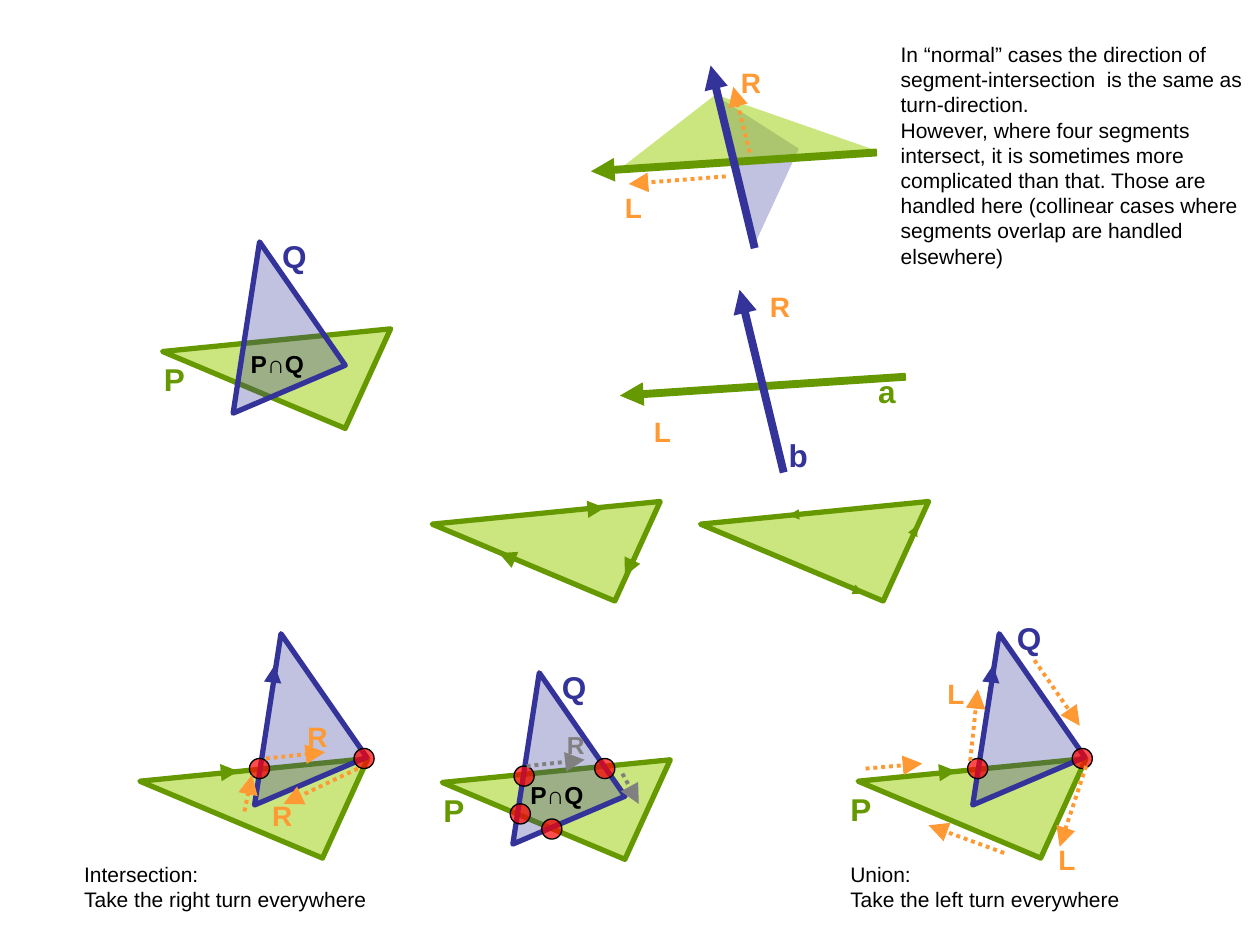
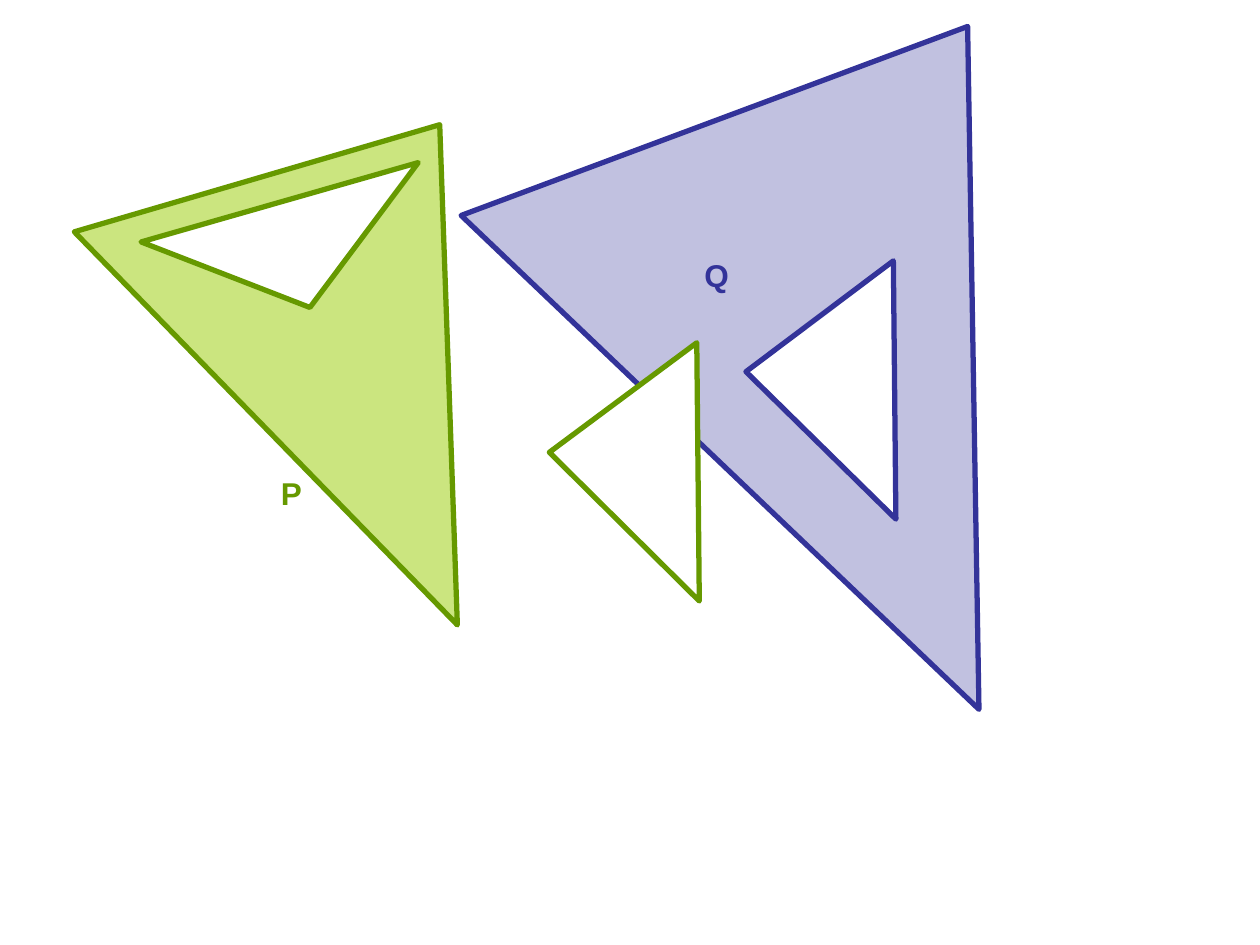
"""Draw two slides on polygon intersection and union with turn directions."""
import pptx
import pptx.dml.color
import pptx.enum.dml
import pptx.enum.shapes
import pptx.enum.text
import pptx.oxml.ns
import pptx.util
import lxml.etree

RGB = pptx.dml.color.RGBColor
INCH = pptx.util.Inches
QN = pptx.oxml.ns.qn

GREEN = RGB(0x66, 0x99, 0x00)
LIME = RGB(0x99, 0xCC, 0x00)
BLUE = RGB(0x33, 0x33, 0x99)
ORANGE = RGB(0xFF, 0x99, 0x33)
GREY = RGB(0x80, 0x80, 0x80)
RED = RGB(0xFF, 0x00, 0x00)
BLACK = RGB(0x00, 0x00, 0x00)
WHITE = RGB(0xFF, 0xFF, 0xFF)

P_FORM = [(1.81, 0), (1.45, 0.79), (0, 0.18)]
Q_FORM = [(0.89, 0.98), (0, 1.36), (0.21, 0)]
TOP_EDGE = (0.7, 0.11, 1.37, 0.05)
LOW_EDGE = (1.29, 0.73, 0.53, 0.41)
SIDE_EDGE = (1.72, 0.19, 1.53, 0.59)


class Sketch:
    """Hold the shared style and the current slide."""

    def __init__(self):
        self.deck = pptx.Presentation()
        self.deck.slide_width, self.deck.slide_height = INCH(10), INCH(7.5)
        self.slide = None

    def page(self):
        """Start a blank slide."""
        self.slide = self.deck.slides.add_slide(self.deck.slide_layouts[6])

    def paint(self, shape, fill, alpha, line, width):
        """Give a shape its fill, opacity and outline."""
        shape.shadow.inherit = False
        shape.fill.solid()
        shape.fill.fore_color.rgb = fill
        if alpha < 100:
            tint = shape._element.spPr.find(".//" + QN("a:srgbClr"))
            lxml.etree.SubElement(tint, QN("a:alpha"), val=str(alpha * 1000))
        if line is None:
            shape.line.fill.background()
            return
        shape.line.color.rgb = line
        shape.line.width = pptx.util.Pt(width)
        edge = shape._element.spPr.find(QN("a:ln"))
        lxml.etree.SubElement(edge, QN("a:round"))

    def shape(self, points, fill, alpha=100, line=None):
        """Draw a closed outline through the points."""
        spots = [(INCH(x), INCH(y)) for x, y in points]
        pen = self.slide.shapes.build_freeform(*spots[0], scale=1.0)
        pen.add_line_segments(spots[1:], close=True)
        form = pen.convert_to_shape()
        self.paint(form, fill, alpha, line, 3)
        return form

    def green(self, x, y):
        """Draw the triangle P at a place."""
        self.shape([(x + a, y + b) for a, b in P_FORM], LIME, 50, GREEN)

    def blue(self, x, y):
        """Draw the triangle Q at a place."""
        self.shape([(x + a, y + b) for a, b in Q_FORM], BLUE, 30, BLUE)

    def dot(self, x, y):
        """Mark a crossing point."""
        kind = pptx.enum.shapes.MSO_SHAPE.OVAL
        side = INCH(0.16)
        mark = self.slide.shapes.add_shape(kind, INCH(x), INCH(y), side, side)
        self.paint(mark, RED, 70, BLACK, 0.75)

    def arrow(self, ends, color, width=1, size="lg", tip="tailEnd", dash=None):
        """Draw a straight arrow with its head at the given tip."""
        kind = pptx.enum.shapes.MSO_CONNECTOR.STRAIGHT
        link = self.slide.shapes.add_connector(kind, *map(INCH, ends))
        link.line.color.rgb = color
        form = {"width": pptx.util.Pt(width), "dash_style": dash}
        for name, value in form.items():
            setattr(link.line, name, value)
        frame = link._element.spPr
        lxml.etree.SubElement(frame.find(QN("a:ln")), QN("a:" + tip),
                              type="triangle", w=size, len=size)
        lxml.etree.SubElement(frame, QN("a:effectLst"))

    def turn(self, ends, color=ORANGE):
        """Draw a dotted arrow for a turn."""
        self.arrow(ends, color, 2.25, dash=pptx.enum.dml.MSO_LINE.ROUND_DOT)

    def edge(self, x, y, ends, color=GREEN, **form):
        """Draw a direction arrow on a triangle edge."""
        a, b, c, d = ends
        self.arrow((x + a, y + b, x + c, y + d), color, **form)

    def cross(self, x, y):
        """Draw two crossing segments with their left and right sides."""
        self.edge(x, y, (2.27, 0.69, 0, 0.84), GREEN, width=4.5, size="med")
        self.edge(x, y, (1.3, 1.45, 0.95, 0), BLUE, width=4.5, size="med")
        self.label("R", x + 1.19, y, 0.16, ORANGE, 16)
        self.label("L", x + 0.27, y + 0.99, 0.14, ORANGE, 16)

    def text(self, box, lines, pad=(0.1, 0.05), wrap=False, **font):
        """Write lines in a text box."""
        frame = self.slide.shapes.add_textbox(*map(INCH, box)).text_frame
        form = {"margin_left": INCH(pad[0]), "margin_right": INCH(pad[0]),
                "margin_top": INCH(pad[1]), "margin_bottom": INCH(pad[1]),
                "word_wrap": wrap,
                "auto_size": pptx.enum.text.MSO_AUTO_SIZE.SHAPE_TO_FIT_TEXT}
        for name, value in form.items():
            setattr(frame, name, value)
        style = {"name": "Arial", "size": pptx.util.Pt(font.get("size", 12)),
                 "bold": font.get("bold", False)}
        for i, line in enumerate(lines):
            para = frame.add_paragraph() if i else frame.paragraphs[0]
            run = para.add_run()
            run.text = line
            run.font.color.rgb = font.get("color", BLACK)
            for name, value in style.items():
                setattr(run.font, name, value)

    def label(self, word, x, y, width, color, size=18):
        """Write a bold label without margins."""
        self.text((x, y, width, size / 60), [word], (0, 0),
                  color=color, size=size, bold=True)


def turns(art):
    """Build the slide on turn directions."""
    art.page()
    for x in (1.11, 6.81):
        art.green(x, 6.02)
        art.blue(x + 0.91, 5.03)
        art.edge(x, 5.03, (1, 0.85, 1.07, 0.25), BLUE)
        art.edge(x, 6.02, (0.12, 0.16, 0.78, 0.1))
        art.dot(x + 1.7, 5.94)
        art.dot(x + 0.87, 6.02)
    for ends in ((2.84, 6.1, 2.25, 6.38), (2.11, 6.02, 2.58, 5.97),
                 (1.94, 6.44, 2, 6.15), (8.62, 6.08, 8.41, 6.72),
                 (7.7, 6.04, 7.76, 5.47), (7.97, 6.77, 7.37, 6.55),
                 (6.87, 6.1, 7.32, 6.06), (8.21, 5.24, 8.57, 5.76)):
        art.turn(ends)
    for word, x, y in (("R", 2.16, 6.34), ("R", 2.44, 5.71),
                       ("L", 7.52, 5.37), ("L", 8.4, 6.69)):
        art.label(word, x, y, 0.16 if word == "R" else 0.14, ORANGE, 16)
    art.label("P", 6.75, 6.27, 0.17, GREEN)
    art.label("Q", 8.07, 4.91, 0.2, BLUE)
    art.text((0.57, 6.79, 2.46, 0.5),
             ["Intersection:", "Take the right turn everywhere"])
    art.text((6.65, 6.79, 2.36, 0.5),
             ["Union:", "Take the left turn everywhere"])

    art.shape([(6.34, 1.18), (5.7, 0.77), (5.98, 1.96)], BLUE, 30)
    art.shape([(4.92, 1.34), (5.68, 0.75), (6.97, 1.2)], LIME, 50)
    art.cross(4.69, 0.52)
    art.turn((5.95, 1.21, 5.82, 0.69))
    art.turn((5.76, 1.4, 4.99, 1.46))
    art.cross(4.92, 2.3)
    art.label("a", 6.97, 2.95, 0.14, GREEN)
    art.label("b", 6.26, 3.46, 0.15, BLUE)
    art.text((7.05, 0.28, 2.95, 1.9), [
        "In “normal” cases the direction of segment-intersection  is the "
        "same as turn-direction.",
        "However, where four segments intersect, it is sometimes more "
        "complicated than that. Those are handled here (collinear cases "
        "where segments overlap are handled elsewhere)"], wrap=True)

    for x, tip, size in ((3.43, "tailEnd", "lg"), (5.56, "headEnd", "med")):
        art.green(x, 3.98)
        for ends in (TOP_EDGE, LOW_EDGE, SIDE_EDGE):
            art.edge(x, 3.98, ends, tip=tip, size=size)

    for x, y in ((1.29, 2.61), (3.51, 6.03)):
        art.green(x, y)
        art.blue(x + 0.56, y - 0.69)
        art.label("P", x + 0.01, y + 0.25, 0.17, GREEN)
        art.label("Q", x + 0.95, y - 0.73, 0.2, BLUE)
        art.label("P∩Q", x + 0.7, y + 0.16, 0.5, BLACK, 14)
    for x, y in ((4.08, 6.08), (4.72, 6.02), (4.3, 6.5), (4.05, 6.38)):
        art.dot(x, y)
    art.label("R", 4.5, 5.79, 0.14, GREY, 14)
    art.turn((4.18, 6.08, 4.64, 6.03), GREY)
    art.turn((4.94, 6.14, 5.07, 6.38), GREY)


def holes(art):
    """Build the slide on polygons with holes."""
    art.page()
    outer = art.shape([(7.68, 0.21), (7.77, 5.63), (3.66, 1.71)],
                      BLUE, 30, BLUE)
    inner = art.shape([(7.09, 2.07), (7.11, 4.12), (5.92, 2.95)],
                      WHITE, line=BLUE)
    art.slide.shapes.add_group_shape([outer, inner])
    art.label("P", 2.23, 3.76, 0.17, GREEN)
    art.label("Q", 5.59, 2.03, 0.2, BLUE)
    outer = art.shape([(3.49, 0.99), (3.63, 4.96), (0.59, 1.84)],
                      LIME, 50, GREEN)
    inner = art.shape([(3.32, 1.29), (2.46, 2.44), (1.12, 1.92)],
                      WHITE, line=GREEN)
    art.slide.shapes.add_group_shape([outer, inner])
    art.shape([(5.53, 2.72), (5.55, 4.77), (4.36, 3.59)], WHITE, line=GREEN)


art = Sketch()
turns(art)
holes(art)
art.deck.save("out.pptx")
